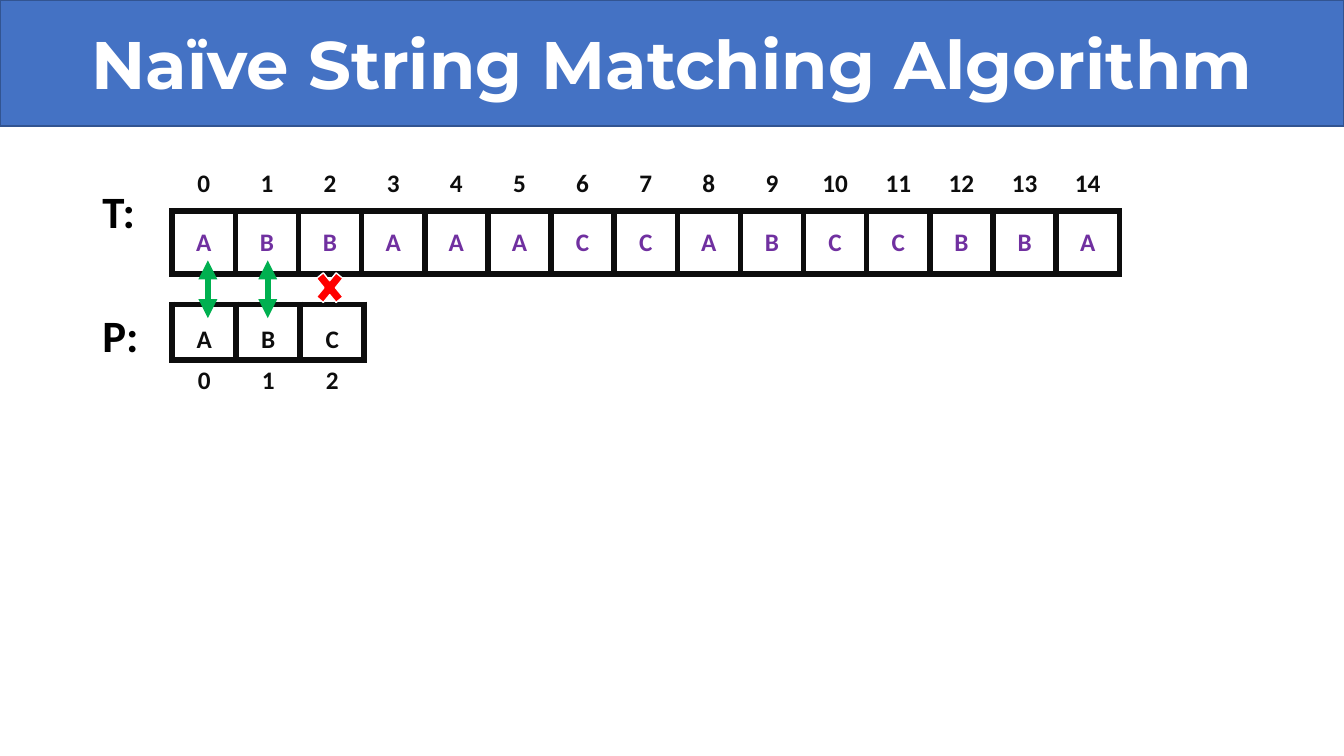
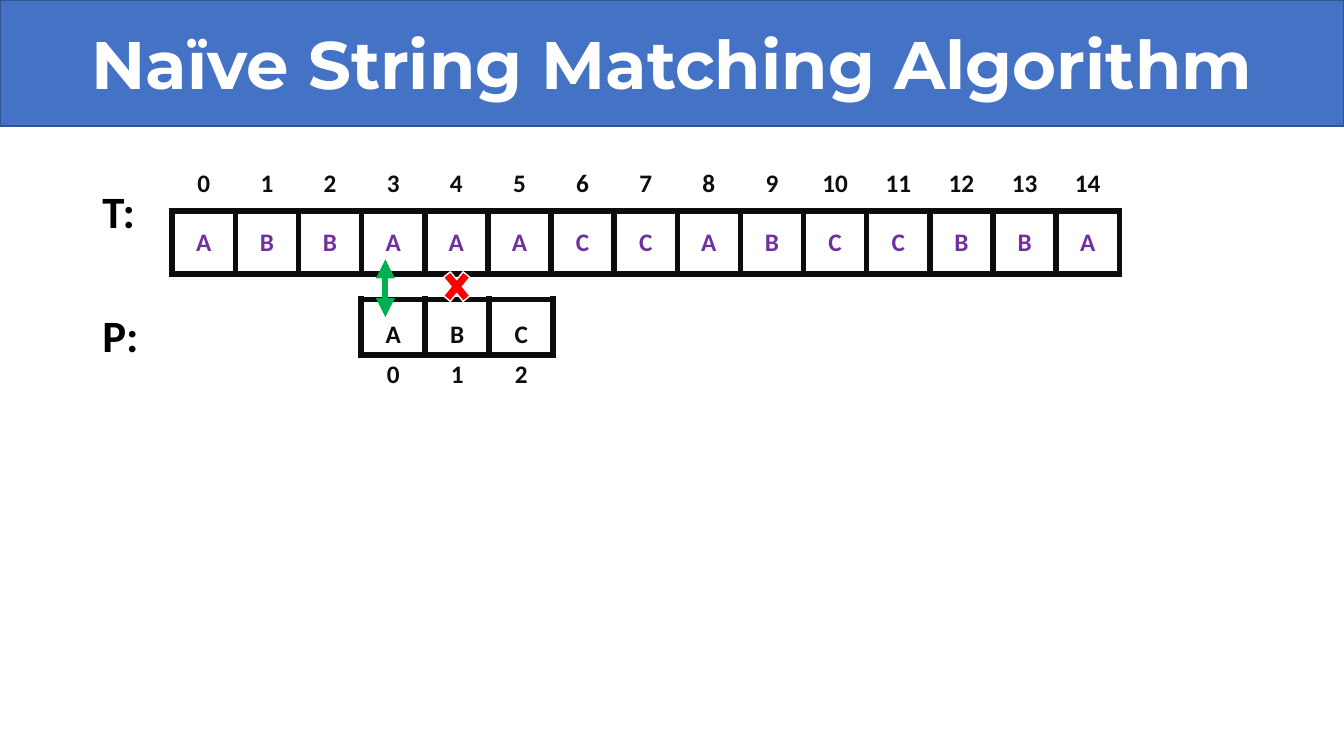
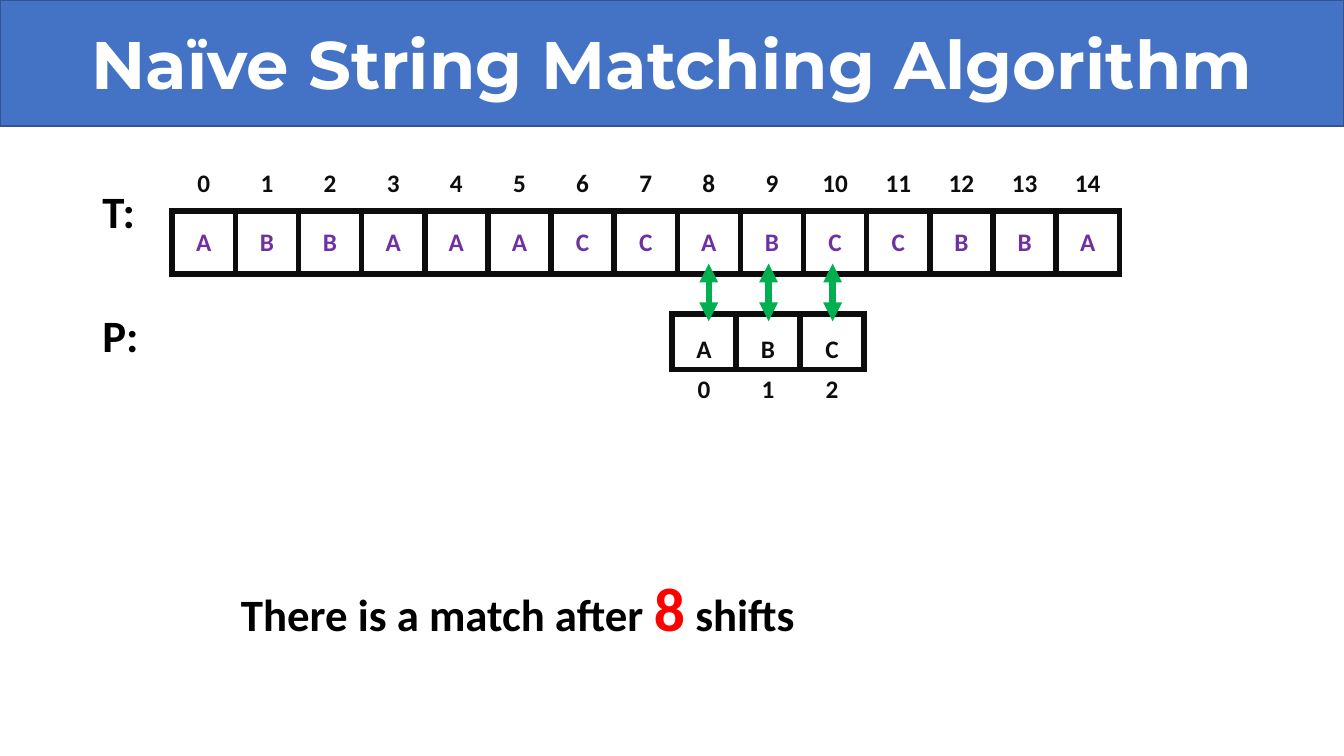
from lxml.etree import SubElement
from pptx import Presentation
from pptx.dml.color import RGBColor
from pptx.enum.shapes import MSO_CONNECTOR, MSO_SHAPE
from pptx.enum.text import MSO_ANCHOR, MSO_AUTO_SIZE, PP_ALIGN
from pptx.oxml.ns import qn
from pptx.util import Pt

PX = 9525
WIDTH, HEIGHT = 1280, 720
COLORS = {
    "band": "4472C4", "band_line": "325491", "white": "FFFFFF", "black": "000000",
    "ink": "0D0D0D", "letter": "7030A0", "match": "00B050", "mismatch": "FF0000",
}
TITLE = {"name": "Montserrat", "size": Pt(48), "bold": True}
LABEL = {"name": "Calibri", "size": Pt(32), "bold": True}
BIG = {**LABEL, "size": Pt(44)}
CELL = {**LABEL, "size": Pt(18)}
BORDER = 4.5

TEXT = "ABBAAACCABCCBBA"
PATTERN = "ABC"
STEPS = [
    {"pattern": (164, 290, 183, 100), "marks_top": -42, "matches": [34, 91], "cross": 132},
    {"pattern": (344, 285, 183, 100), "marks_top": -38, "matches": [23], "cross": 73},
    {"pattern": (640, 299, 183, 100), "marks_top": -48, "matches": [35, 92, 153],
     "result": [("There is a match after ", LABEL, "black"), ("8", BIG, "mismatch"),
                (" shifts", LABEL, "black")]},
]


def px(*lengths):
    """Turn px lengths into EMU."""
    return [length * PX for length in lengths]


def rgb(name):
    """Look up a named colour."""
    return RGBColor.from_string(COLORS[name])


def add_run(p, text, style, color):
    """Append a formatted run to a paragraph."""
    r = p.add_run()
    r.text = text
    for key, value in style.items():
        setattr(r.font, key, value)
    r.font.color.rgb = rgb(color)


def paint(sp, fill, line):
    """Give a shape a flat fill and a thin outline."""
    sp.fill.solid()
    sp.fill.fore_color.rgb = rgb(fill)
    sp.line.color.rgb = rgb(line)
    sp.line.width = Pt(1)


def add_title(s, box):
    """Turn the title placeholder into the heading band."""
    sp = s.shapes.title
    sp.left, sp.top, sp.width, sp.height = px(*box)
    paint(sp, "band", "band_line")
    tf = sp.text_frame
    tf.auto_size = MSO_AUTO_SIZE.NONE
    tf.vertical_anchor = MSO_ANCHOR.MIDDLE
    p = tf.paragraphs[0]
    p.alignment = PP_ALIGN.CENTER
    add_run(p, "Naïve String Matching Algorithm", TITLE, "white")


def add_text(s, box, runs):
    """Place one line of formatted runs."""
    tf = s.shapes.add_textbox(*px(*box)).text_frame
    tf.word_wrap = True
    tf.auto_size = MSO_AUTO_SIZE.SHAPE_TO_FIT_TEXT
    for run in runs:
        add_run(tf.paragraphs[0], *run)


def set_borders(cell, sides):
    """Draw the named sides of a cell and clear the others."""
    tc_pr = cell._tc.get_or_add_tcPr()
    for side in "LRTB":
        ln = SubElement(tc_pr, qn(f"a:ln{side}"), w=str(Pt(BORDER)))
        if side in sides:
            fill = SubElement(ln, qn("a:solidFill"))
            SubElement(fill, qn("a:srgbClr"), val=COLORS["ink"])
        else:
            SubElement(ln, qn("a:noFill"))


def add_strip(s, box, rows):
    """Build a table from rows of values, borders, colour, anchor and spacing."""
    count = len(rows[0]["values"])
    table = s.shapes.add_table(len(rows), count, *px(*box)).table
    table.first_row = table.horz_banding = False
    for y, row in enumerate(rows):
        for x, value in enumerate(row["values"]):
            cell = table.cell(y, x)
            set_borders(cell, row["sides"])
            cell.fill.solid()
            cell.fill.fore_color.rgb = rgb("white")
            cell.vertical_anchor = row.get("anchor", MSO_ANCHOR.TOP)
            p = cell.text_frame.paragraphs[0]
            p.alignment = PP_ALIGN.CENTER
            p.line_spacing = row.get("spacing", 1.0)
            add_run(p, str(value), CELL, row.get("color", "ink"))


def add_text_strip(s, box):
    """Show the searched text under its indices."""
    add_strip(s, box, [
        {"values": range(len(TEXT)), "sides": "B", "spacing": 1.5},
        {"values": TEXT, "sides": "LRTB", "color": "letter", "anchor": MSO_ANCHOR.MIDDLE},
    ])


def add_pattern_strip(s, box):
    """Show the pattern above its indices."""
    add_strip(s, box, [
        {"values": PATTERN, "sides": "LRTB", "spacing": 1.5},
        {"values": range(len(PATTERN)), "sides": "T"},
    ])


def add_match(s, x, y, length):
    """Draw a vertical double arrow between equal letters."""
    cxn = s.shapes.add_connector(MSO_CONNECTOR.STRAIGHT, *px(x, y, x, y + length))
    cxn.line.color.rgb = rgb("match")
    cxn.line.width = Pt(BORDER)
    ln = cxn.line._get_or_add_ln()
    for end in ("a:headEnd", "a:tailEnd"):
        SubElement(ln, qn(end), type="triangle")
    SubElement(cxn._element.spPr, qn("a:effectLst"))


def add_cross(s, box):
    """Mark a mismatch."""
    sp = s.shapes.add_shape(MSO_SHAPE.MATH_MULTIPLY, *px(*box))
    sp.shadow.inherit = False
    paint(sp, "mismatch", "white")


def add_marks(s, box, step):
    """Place the comparison marks relative to the pattern box."""
    left, top = box[0], box[1] + step["marks_top"]
    for x in step["matches"]:
        add_match(s, left + x, top, 55)
    if "cross" in step:
        add_cross(s, (left + step["cross"], top + 4, 36, 44))


def add_step(prs, step):
    """Build the slide for one alignment of the pattern."""
    s = prs.slides.add_slide(prs.slide_layouts[5])
    add_title(s, (0, 0, WIDTH, 120))
    add_text(s, (88, 170, 94, 61), [("T:", LABEL, "black")])
    add_pattern_strip(s, step["pattern"])
    add_text(s, (88, 288, 94, 61), [("P:", LABEL, "black")])
    add_text_strip(s, (164, 141, 902, 120))
    add_marks(s, step["pattern"], step)
    if "result" in step:
        add_text(s, (220, 538, 622, 81), step["result"])


def main():
    """Build and save the presentation."""
    prs = Presentation()
    prs.slide_width, prs.slide_height = px(WIDTH, HEIGHT)
    for step in STEPS:
        add_step(prs, step)
    prs.save("out.pptx")


if __name__ == "__main__":
    main()
